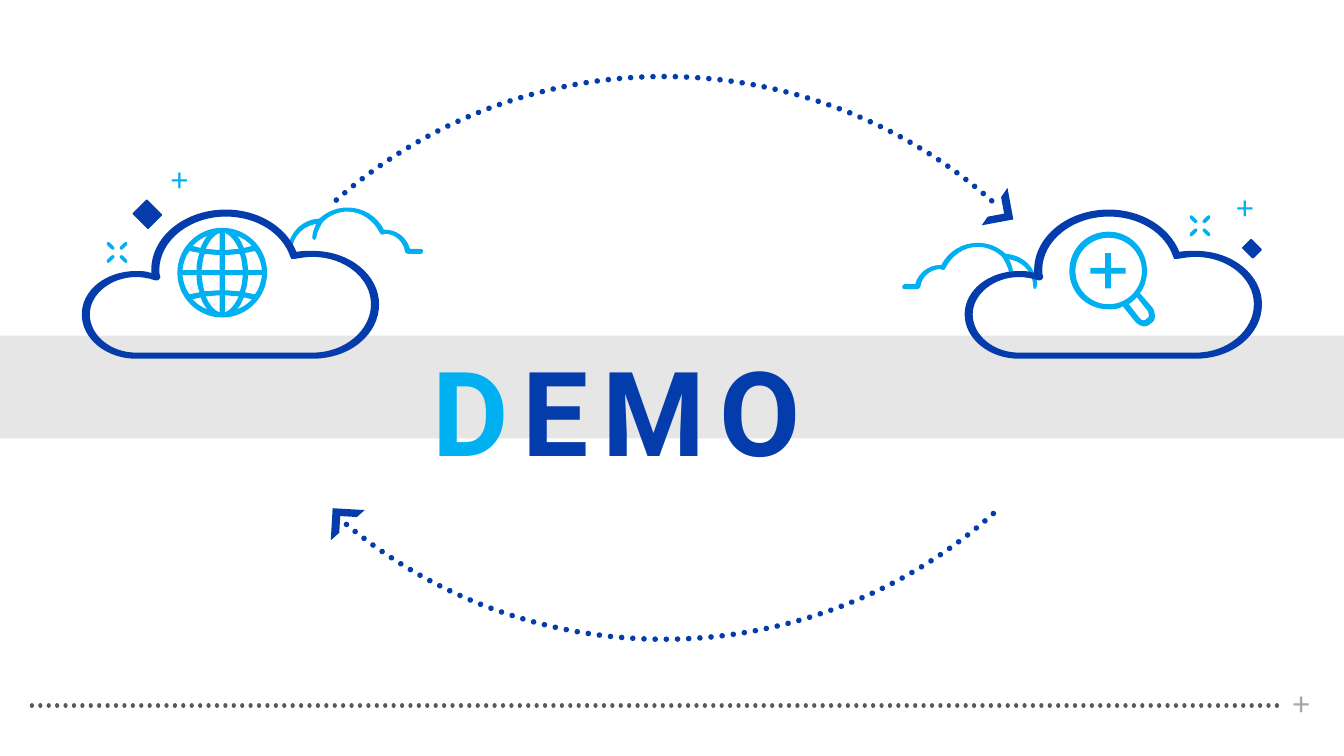
import pptx
import pptx.dml.color
import pptx.enum.dml
import pptx.enum.shapes
import pptx.enum.text
import pptx.oxml
import pptx.oxml.ns
import pptx.util

Cm = pptx.util.Cm
Pt = pptx.util.Pt
RGBColor = pptx.dml.color.RGBColor
SHAPE = pptx.enum.shapes.MSO_SHAPE
ALIGN = pptx.enum.text.PP_ALIGN
qn = pptx.oxml.ns.qn

SKY = RGBColor(0x00, 0xB0, 0xF0)
NAVY = RGBColor(0x04, 0x3C, 0xAC)
BAND = RGBColor(0xE7, 0xE6, 0xE6)
DARK = RGBColor(0x59, 0x59, 0x59)
GREY = RGBColor(0xA6, 0xA6, 0xA6)

# Outlines are in hundredths of an inch: a pair is a line, six numbers a curve.
UNIT = Cm(2.54) / 100

PUFF = [
    (0, 41), (0, 43, 1, 44, 2, 46), (3, 46, 4, 45, 4, 43),
    (4, 28, 17, 16, 32, 16), (34, 15), (40, 8, 50, 4, 59, 4),
    (73, 4, 85, 13, 91, 25), (91, 26, 92, 27, 94, 27), (96, 26),
    (106, 26, 115, 34, 116, 44), (117, 45, 118, 46, 119, 46), (132, 46),
    (133, 46, 134, 45, 134, 43), (134, 42, 133, 41, 132, 41), (121, 41),
    (118, 30, 108, 22, 96, 22), (95, 22), (88, 8, 74, 0, 59, 0),
    (48, 0, 39, 4, 31, 11), (14, 12, 1, 25, 0, 41)]
FOLD = [
    (26, 32), (27, 32, 28, 31, 28, 30), (28, 25, 33, 17, 34, 15),
    (35, 14, 35, 12, 33, 12), (32, 11, 31, 11, 30, 12),
    (30, 13, 24, 22, 24, 30), (24, 31, 25, 32, 26, 32)]
CLOUD = [
    [(229, 148), (54, 148), (24, 148, 0, 128, 0, 104), (0, 80, 24, 61, 54, 61),
     (59, 61, 64, 61, 69, 63), (69, 60), (69, 27, 102, 0, 143, 0),
     (175, 0, 203, 17, 213, 42), (218, 41, 224, 41, 229, 41),
     (266, 41, 295, 65, 295, 94), (295, 124, 266, 148, 229, 148)],
    [(54, 67), (29, 67, 8, 84, 8, 104), (8, 125, 29, 142, 54, 142), (229, 142),
     (261, 142, 287, 120, 287, 94), (287, 68, 261, 47, 229, 47),
     (223, 47, 217, 48, 211, 49), (208, 49), (207, 47),
     (199, 23, 173, 7, 143, 7), (107, 7, 77, 31, 77, 60),
     (77, 62, 77, 65, 78, 67), (78, 68, 77, 69, 76, 70),
     (75, 70, 73, 71, 72, 70), (66, 68, 60, 67, 54, 67)]]
PANES = [
    [(2.5, -17.5), (8.5, -17.5, 13.5, -18.5, 17.5, -18.5),
     (19.5, -13.5, 19.5, -8.5, 20.5, -2.5), (2.5, -2.5)],
    [(2.5, -22.5), (2.5, -39.5), (8.5, -37.5, 12.5, -31.5, 16.5, -23.5),
     (11.5, -23.5, 7.5, -22.5, 2.5, -22.5)],
    [(25.5, -2.5), (25.5, -8.5, 24.5, -14.5, 22.5, -19.5), (32.5, -21.5),
     (36.5, -16.5, 38.5, -9.5, 39.5, -2.5)],
    [(29.5, -26.5), (21.5, -24.5), (19.5, -29.5, 17.5, -33.5, 14.5, -36.5),
     (20.5, -34.5, 25.5, -30.5, 29.5, -26.5)]]
LENS = [
    (44, 37), (31, 22), (36, 15, 38, 8, 38, 0), (38, -22, 21, -39, 0, -39),
    (-22, -39, -39, -22, -39, 0), (-39, 21, -22, 38, 0, 38),
    (5, 38, 10, 38, 14, 35), (27, 51), (29, 53, 32, 55, 35, 55),
    (38, 55, 40, 54, 42, 52), (45, 50, 46, 48, 46, 45), (46, 42, 45, 39, 44, 37)]
GRIP = [
    (40, 44), (40, 45, 40, 46, 38, 47), (37, 48, 36, 49, 35, 49),
    (33, 49, 32, 48, 31, 47), (20, 33), (23, 31, 25, 29, 28, 26), (39, 40),
    (40, 42, 40, 42, 40, 44)]
DASH = [(-4, -2.5), (-6, -3.5), (-10, -7.5), (-10, -9.5), (-9, -10.5),
        (-7, -9.5), (-3, -5.5), (-2.5, -4)]
SIGNS = [(-1, -1), (1, -1), (-1, 1), (1, 1)]


def flip(loop, sx, sy):
    return [tuple(v * (sx, sy)[i % 2] for i, v in enumerate(step)) for step in loop]


def ring(r):
    k = 0.55 * r
    return [(r, 0), (r, k, k, r, 0, r), (-k, r, -r, k, -r, 0),
            (-r, -k, -k, -r, 0, -r), (k, -r, r, -k, r, 0)]


def pairs(step):
    return [(step[i] * UNIT, step[i + 1] * UNIT) for i in range(0, len(step), 2)]


def bend(shape, loops):
    """Join each curve's three line points into one Bezier segment."""
    lines = iter(list(shape.element.iter(qn("a:lnTo"))))
    for loop in loops:
        for step in loop[1:]:
            group = [next(lines) for _ in pairs(step)]
            if len(group) == 1:
                continue
            curve = pptx.oxml.parse_xml(
                "<a:cubicBezTo %s/>" % pptx.oxml.ns.nsdecls("a"))
            group[0].addprevious(curve)
            for line in group:
                curve.append(line[0])
                line.getparent().remove(line)


class Deck:
    def __init__(self):
        self.file = pptx.Presentation()
        self.file.slide_width, self.file.slide_height = Cm(33.87), Cm(19.05)
        self.slide = self.file.slides.add_slide(self.file.slide_layouts[5])
        self.shapes = self.slide.shapes

    def free(self, x, y, loops, color):
        """Fill closed outlines around the spot x, y."""
        dots = [[dot for step in loop for dot in pairs(step)] for loop in loops]
        pen = self.shapes.build_freeform(*dots[0][0])
        pen.add_line_segments(dots[0][1:])
        for loop in dots[1:]:
            pen.move_to(*loop[0])
            pen.add_line_segments(loop[1:])
        shape = pen.convert_to_shape(Cm(x), Cm(y))
        bend(shape, loops)
        self.paint(shape, color)

    def paint(self, shape, color):
        shape.shadow.inherit = False
        shape.fill.solid()
        shape.fill.fore_color.rgb = color
        shape.line.fill.background()

    def shape(self, kind, x, y, w, h, color, turn=0, adjust=()):
        shape = self.shapes.add_shape(kind, Cm(x), Cm(y), Cm(w), Cm(h))
        self.paint(shape, color)
        shape.rotation = turn
        for i, value in enumerate(adjust):
            shape.adjustments[i] = value
        return shape

    def dots(self, shape, color, width):
        """Give a line round dots."""
        shape.line.color.rgb = color
        shape.line.width = Pt(width)
        shape.line.dash_style = pptx.enum.dml.MSO_LINE.ROUND_DOT
        shape.element.spPr.find(qn("a:ln")).set("cap", "rnd")

    def arc(self, y, start, end):
        arc = self.shape(SHAPE.ARC, 4.24, y, 24.97, 24.97, NAVY, 0, (start, end))
        arc.fill.background()
        self.dots(arc, NAVY, 4)

    def line(self, x1, y1, x2, y2):
        kind = pptx.enum.shapes.MSO_CONNECTOR.STRAIGHT
        line = self.shapes.add_connector(kind, Cm(x1), Cm(y1), Cm(x2), Cm(y2))
        self.dots(line, DARK, 3)
        line.element.spPr.append(pptx.oxml.parse_xml(
            "<a:effectLst %s/>" % pptx.oxml.ns.nsdecls("a")))

    def run(self, para, text, font, size, color):
        run = para.add_run()
        run.text = text
        run.font.name, run.font.size = font, Pt(size)
        run.font.color.rgb = color
        return run

    def plus(self, x, y, color):
        box = self.shapes.add_textbox(Cm(x), Cm(y), Cm(1.63), Cm(1.27))
        box.text_frame.word_wrap = True
        para = box.text_frame.paragraphs[0]
        para.alignment = ALIGN.CENTER
        self.run(para, "+", "Calibri", 24, color)

    def title(self, x, y, w, h, parts):
        box = self.shapes.title
        box.left, box.top, box.width, box.height = Cm(x), Cm(y), Cm(w), Cm(h)
        box.element.getparent().append(box.element)
        frame = box.text_frame
        frame.word_wrap = False
        frame.auto_size = pptx.enum.text.MSO_AUTO_SIZE.SHAPE_TO_FIT_TEXT
        frame.vertical_anchor = pptx.enum.text.MSO_ANCHOR.TOP
        para = frame.paragraphs[0]
        para.alignment, para.line_spacing = ALIGN.LEFT, 1.2
        for text, color in parts:
            run = self.run(para, text, "Roboto", 84, color)
            run.font.bold = True
            run.font._element.set("spc", "1000")

    def spark(self, x, y):
        for sx, sy in SIGNS:
            self.free(x, y, [flip(DASH, sx, sy)], SKY)

    def diamond(self, x, y, w, h):
        gem = self.shape(SHAPE.RECTANGLE, x, y, w, h, NAVY, 45)
        gem.line.color.rgb = NAVY
        gem.line.width = Pt(1)


def main():
    deck = Deck()
    for x, y, side in [(26.14, 6.12, -1), (7.26, 5.23, 1)]:
        for part in (PUFF, FOLD):
            deck.free(x, y, [flip(part, side, 1)], SKY)
    deck.shape(SHAPE.RECTANGLE, 0, 8.46, 33.87, 2.59, BAND)
    deck.line(32.18, 17.78, 0.76, 17.78)
    deck.plus(31.98, 17.07, GREY)
    deck.title(10.64, 7.7, 10.87, 4.17, [("D", SKY), ("EMO", NAVY)])

    for x in (2.06, 24.31):
        deck.free(x, 5.28, CLOUD, NAVY)
    panes = [flip(pane, sx, sy) for pane in PANES for sx, sy in SIGNS]
    deck.free(5.6, 6.87, [ring(44.5)] + panes, SKY)
    deck.free(27.94, 6.83, [LENS, ring(33), GRIP], SKY)
    deck.shape(SHAPE.CROSS, 27.48, 6.38, 0.89, 0.89, SKY, 0, [0.42])

    deck.arc(1.93, 137.19, 187.08)
    deck.arc(-8.86, 28.96, 78.03)
    deck.spark(2.95, 6.36)
    deck.diamond(3.45, 5.16, 0.53, 0.48)
    deck.plus(3.71, 3.86, SKY)
    deck.spark(30.24, 5.69)
    deck.diamond(31.37, 6.12, 0.36, 0.3)
    deck.plus(30.56, 4.57, SKY)
    for x, y, turn in [(24.66, 4.8, 169.5), (8.36, 12.83, 3.3)]:
        deck.shape(SHAPE.HALF_FRAME, x, y, 0.81, 0.81, NAVY, turn, (0.23, 0.25))
    deck.file.save("out.pptx")


if __name__ == "__main__":
    main()
